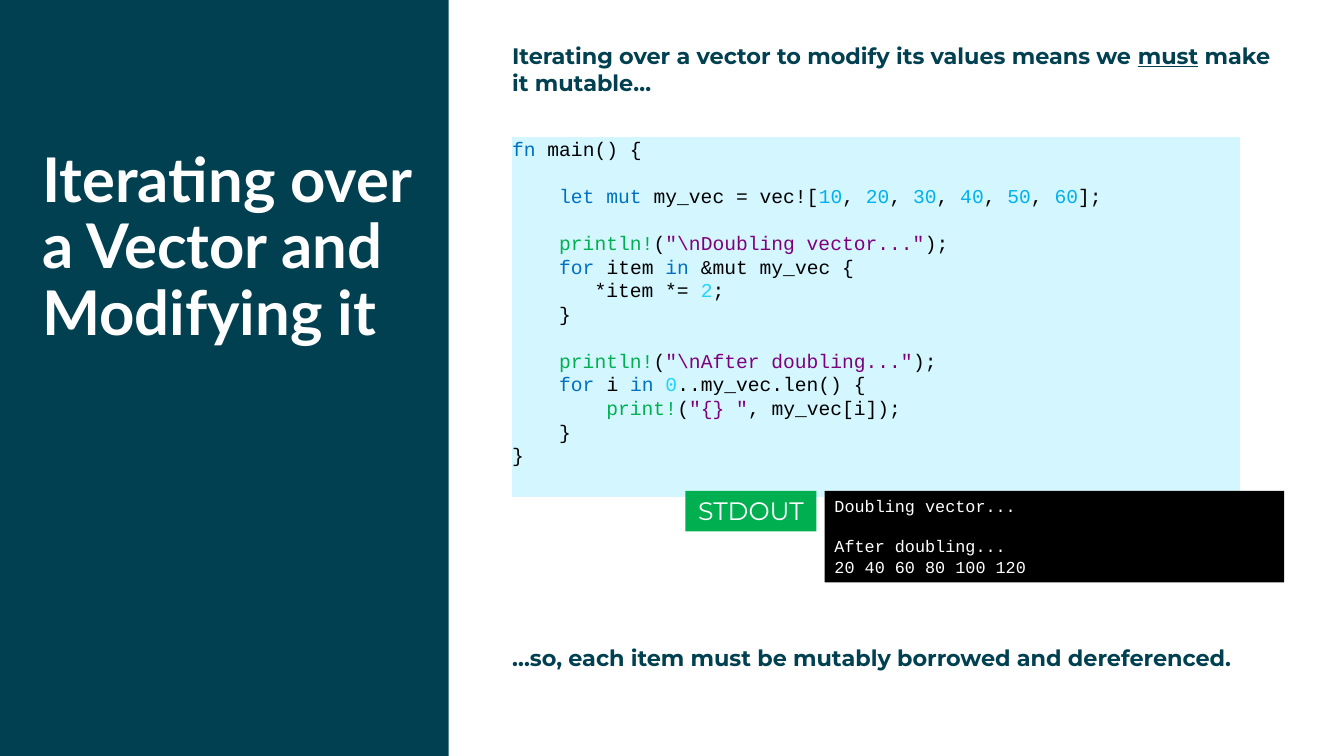
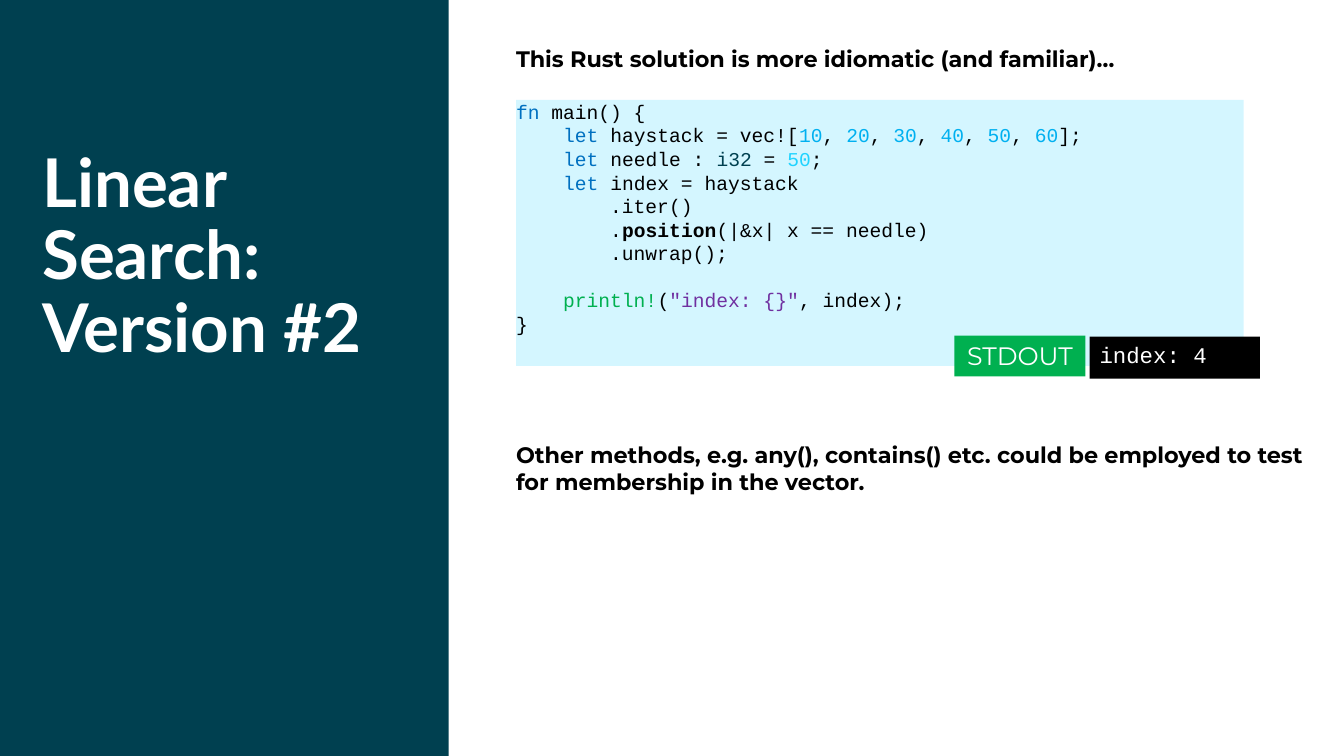
from pptx import Presentation
from pptx.dml.color import RGBColor
from pptx.enum.shapes import MSO_SHAPE
from pptx.enum.text import MSO_ANCHOR, MSO_AUTO_SIZE, PP_ALIGN
from pptx.util import Pt

RECTANGLE = MSO_SHAPE.RECTANGLE
TOP = MSO_ANCHOR.TOP
NO_FIT = MSO_AUTO_SIZE.NONE
LEFT, CENTER = PP_ALIGN.LEFT, PP_ALIGN.CENTER

WHITE = RGBColor(0xFF, 0xFF, 0xFF)
BLACK = RGBColor(0x00, 0x00, 0x00)
TEAL = RGBColor(0x00, 0x40, 0x50)
PALE_BLUE = RGBColor(0xD4, 0xF6, 0xFF)
BLUE = RGBColor(0x00, 0x70, 0xC0)
SKY = RGBColor(0x00, 0xB0, 0xF0)
CYAN = RGBColor(0x20, 0xD3, 0xFF)
GREEN = RGBColor(0x00, 0xB0, 0x50)
PLUM = RGBColor(0x7F, 0x00, 0x7D)
PURPLE = RGBColor(0x70, 0x30, 0xA0)

SLIDE_WIDTH, SLIDE_HEIGHT = 960, 540
BAND_WIDTH = 320.4
CODE_WIDTH = 519.8
LABEL_WIDTH, LABEL_HEIGHT = 93.6, 29

TITLE = {"name": "Lato", "size": Pt(44), "bold": True, "color": WHITE}
STATEMENT = {"name": "Montserrat", "size": Pt(16), "bold": True}
LABEL = {"name": "Montserrat", "size": Pt(18), "color": WHITE}
CODE = {"name": "Courier New", "size": Pt(14), "color": BLACK}
OUTPUT = {"name": "Courier New", "color": WHITE}


def colored(color):
    """Return a function that pairs a text with a font colour."""
    return lambda text: (text, {"color": color})


keyword, macro, item, number = map(colored, (BLUE, GREEN, SKY, CYAN))
string, message, type_name = map(colored, (PLUM, PURPLE, TEAL))


def vector_runs():
    """Runs of the vector literal that both programs start from."""
    runs = ["vec![", item("10")]
    for value in range(20, 70, 10):
        runs += [", ", item(str(value))]
    return runs + ["];"]


DOUBLING_CODE = [
    [keyword("fn"), " main() {"],
    [],
    [keyword("    let mut "), "my_vec = ", *vector_runs()],
    [],
    [macro("    println!"), "(", string('"\\nDoubling vector..."'), ");"],
    [keyword("    for "), "item ", keyword("in "), "&mut my_vec {"],
    ["       *item *= ", number("2"), ";"],
    ["    }"],
    [],
    [macro("    println!"), "(", string('"\\nAfter doubling..."'), ");"],
    [keyword("    for "), "i", keyword(" in "), number("0"), "..my_vec.len() {"],
    [macro("        print!"), "(", string('"{} "'), ", my_vec[i]);"],
    ["    }"],
    ["}"],
]

SEARCH_CODE = [
    [keyword("fn"), " main() {"],
    [keyword("    let"), " haystack = ", *vector_runs()],
    [keyword("    let"), " needle : ", type_name("i32"), " = ", number("50"), ";"],
    [keyword("    let"), " index = haystack"],
    ["        .iter()"],
    ["        .", ("position", {"bold": True}), "(|&x| x == needle)"],
    ["        .unwrap();"],
    [],
    [macro("    println!"), "(", message('"index: {}"'), ", index);"],
    ["}"],
]


def apply_format(font, values):
    for key, value in values.items():
        if key == "color":
            font.color.rgb = value
        else:
            setattr(font, key, value)


class Deck:
    """Holds the presentation, its shared look and the current slide."""

    def __init__(self):
        self.presentation = Presentation()
        self.presentation.slide_width = Pt(SLIDE_WIDTH)
        self.presentation.slide_height = Pt(SLIDE_HEIGHT)
        self.layout = self.presentation.slide_layouts[5]
        self.slide = None

    def add_slide(self, title, size):
        first = self.slide is None
        self.slide = self.presentation.slides.add_slide(self.layout)
        if first:
            self.add_band_to_layout()
        shape = self.slide.shapes.title
        shape.left, shape.top, shape.width, shape.height = map(Pt, (30.2, 106.6, 271.4, 216.7))
        self.fill_text(shape.text_frame, [[title]], TITLE | {"size": Pt(size)}, spacing=0.9)

    def add_band_to_layout(self):
        """Draw the side band, then move it behind everything on the layout."""
        band = self.rectangle((0, 0, BAND_WIDTH, SLIDE_HEIGHT), TEAL)
        self.layout.shapes.element.insert(2, band.element)

    def rectangle(self, box, fill):
        shape = self.slide.shapes.add_shape(RECTANGLE, *map(Pt, box))
        shape.shadow.inherit = False
        shape.fill.solid()
        shape.fill.fore_color.rgb = fill
        shape.line.fill.background()
        return shape

    def fill_text(self, frame, lines, values, spacing=1.0, align=LEFT, margins=(0, 0)):
        """Fill a frame with lines of runs; a run is a text or a (text, format values) pair."""
        frame.word_wrap = True
        frame.auto_size = NO_FIT
        frame.vertical_anchor = TOP
        frame.margin_left = frame.margin_right = Pt(margins[0])
        frame.margin_top = frame.margin_bottom = Pt(margins[1])
        for index, runs in enumerate(lines):
            paragraph = frame.add_paragraph() if index else frame.paragraphs[0]
            paragraph.alignment = align
            paragraph.line_spacing = spacing
            paragraph.space_before = Pt(0)
            apply_format(paragraph.font, values)
            for part in runs:
                text, changes = (part, {}) if isinstance(part, str) else part
                run = paragraph.add_run()
                run.text = text
                apply_format(run.font, values | changes)

    def statement(self, box, runs, color):
        text_box = self.slide.shapes.add_textbox(*map(Pt, box))
        self.fill_text(text_box.text_frame, [runs], STATEMENT | {"color": color})

    def code(self, left, top, height, lines):
        shape = self.rectangle((left, top, CODE_WIDTH, height), PALE_BLUE)
        self.fill_text(shape.text_frame, lines, CODE, spacing=Pt(16.8))

    def output(self, label_left, label_top, box, lines, size):
        """Add the STDOUT label and the black console box beside it."""
        label = self.rectangle((label_left, label_top, LABEL_WIDTH, LABEL_HEIGHT), GREEN)
        self.fill_text(label.text_frame, [["STDOUT"]], LABEL, align=CENTER, margins=(7.2, 3.6))
        console = self.rectangle(box, BLACK)
        self.fill_text(console.text_frame, lines, OUTPUT | {"size": Pt(size)},
                       spacing=Pt(1.2 * size), margins=(7.2, 3.6))


def main():
    deck = Deck()

    deck.add_slide("Iterating over a Vector and Modifying it", 44)
    left, width = 365.8, 553.7
    deck.statement((left, 30.2, width, 40),
                   ["Iterating over a vector to modify its values means we ",
                    ("must", {"underline": True}), " make it mutable…"], TEAL)
    deck.statement((left, 460, width, 20),
                   ["…so, each item must be mutably borrowed and dereferenced."], TEAL)
    deck.code(left, 97.9, 257, DOUBLING_CODE)
    deck.output(489.6, 350.6, (589, 350.6, 328.3, 65.5),
                [["Doubling vector..."], [], ["After doubling..."], ["20 40 60 80 100 120"]], 12)

    deck.add_slide("Linear Search: Version #2", 48)
    left, width = 368.6, 570.2
    deck.statement((left, 32.4, width, 20),
                   ["This Rust solution is more idiomatic (and familiar)…"], BLACK)
    deck.statement((left, 315.2, width, 40),
                   ["Other methods, e.g. any(), contains() etc. could be employed "
                    "to test for membership in the vector."], BLACK)
    deck.code(left, 71.3, 190, SEARCH_CODE)
    deck.output(681.8, 239.8, (778.3, 240.5, 121.7, 30), [["index: 4"]], 16)

    deck.presentation.save("out.pptx")


if __name__ == "__main__":
    main()
